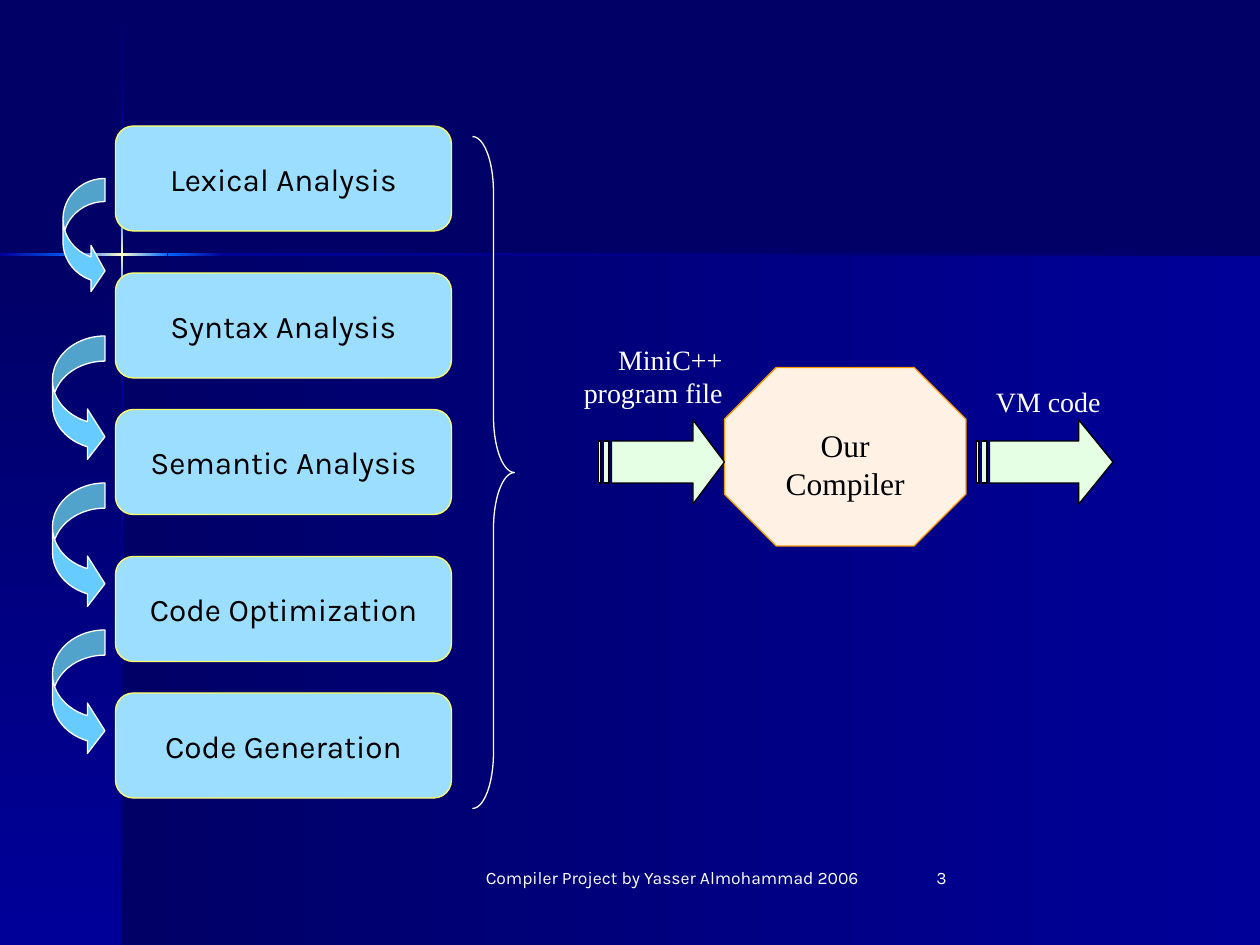
from copy import deepcopy

from pptx import Presentation
from pptx.dml.color import RGBColor
from pptx.enum.shapes import MSO_SHAPE as Shape
from pptx.enum.text import MSO_ANCHOR as Anchor, PP_ALIGN as Align
from pptx.oxml.ns import qn
from pptx.util import Inches, Pt

THEME = {
    "navy": "000066", "blue": "000099", "glow": "0066FF", "spark": "FFFFCC",
    "phase": "9BDEFF", "phase_edge": "FFFF66", "loop": "66CCFF",
    "compiler": "FFF2E5", "compiler_edge": "FF9900", "flow": "E5FFE5",
    "dark": "000000", "light": "FFFFFF",
    "sans": "Karla", "serif": "Times New Roman",
    "body": 18, "label": 16, "footer": 10, "line": 0.75,
}

# Backdrop: left, top, width, height in percent of the slide; colours; clockwise angle
BACKDROP = [
    (9.7, 26.93, 90.3, 73.07, ("blue", "navy"), 180),
    (0, 26.93, 9.7, 73.07, ("navy", "blue"), 90),
    (9.6, 0.13, 0.2, 16.13, ("navy", "blue"), 90),
    (9.6, 37.6, 0.2, 62.4, ("blue", "navy"), 90),
    (17.7, 26.8, 82.3, 0.27, ("navy", "blue"), 180),
    (9.6, 22, 0.2, 9.73, ("glow", "spark", "glow"), 90),
    (0, 26.8, 6.1, 0.27, ("glow", "blue"), 180),
    (13.3, 26.8, 4.4, 0.27, ("blue", "glow"), 180),
    (6, 26.8, 7.3, 0.27, ("glow", "spark", "glow"), 180),
]

# Everything else sits on a grid of 120 columns by 90 rows
COLUMNS, ROWS = 120, 90
PHASES = [
    ("Lexical Analysis", 12), ("Syntax Analysis", 26), ("Semantic Analysis", 39),
    ("Code Optimization", 53), ("Code Generation", 66),
]
LOOPS = [(6, 17, 4, 11)] + [(5, row, 5, 12) for row in (32, 46, 60)]
BRACE = (45, 13, 4, 64)
COMPILER = ("Our Compiler", (69, 35, 23, 17))
FLOWS = [(57, 40, 12, 8), (93, 40, 13, 8)]
TEXTS = [
    ("MiniC++ program file", (52, 32, 18, 9), "label", "serif", Align.RIGHT),
    ("VM code", (88, 36, 18, 12), "label", "serif", Align.RIGHT),
    ("Compiler Project by Yasser Almohammad 2006", (45, 82, 38, 6),
     "footer", "sans", Align.CENTER),
    ("3", (88, 82, 25, 6), "footer", "sans", Align.LEFT),
]

deck = Presentation()
deck.slide_width, deck.slide_height = Inches(10), Inches(7.5)
page = deck.slides.add_slide(deck.slide_layouts[6])


def color(name):
    return RGBColor.from_string(THEME[name])


def place(area, columns=COLUMNS, rows=ROWS):
    left, top, width, height = area
    across, down = deck.slide_width / columns, deck.slide_height / rows
    return [round(v) for v in (left * across, top * down, width * across, height * down)]


def add_figure(kind, area, fill, edge, adjustments=()):
    figure = page.shapes.add_shape(kind, *place(area))
    figure.shadow.inherit = False
    if fill:
        figure.fill.solid()
        figure.fill.fore_color.rgb = color(fill)
    else:
        figure.fill.background()
    figure.line.color.rgb = color(edge)
    figure.line.width = Pt(THEME["line"])
    for index, value in enumerate(adjustments):
        figure.adjustments[index] = value
    return figure


def write(box, text, size, font, ink, align, anchor=Anchor.TOP, wrap=True):
    frame = box.text_frame
    frame.word_wrap = wrap
    frame.vertical_anchor = anchor
    para = frame.paragraphs[0]
    para.text = text
    para.alignment = align
    para.font.size = Pt(THEME[size])
    para.font.name = THEME[font]
    para.font.color.rgb = color(ink)


def add_gradient(area, names, angle):
    panel = page.shapes.add_shape(Shape.RECTANGLE, *place(area, 100, 100))
    panel.shadow.inherit = False
    panel.line.fill.background()
    panel.fill.gradient()
    panel.fill.gradient_angle = 360 - angle
    stop_list = panel._element.spPr.find(qn("a:gradFill")).find(qn("a:gsLst"))
    while len(stop_list) < len(names):
        stop_list.append(deepcopy(stop_list[-1]))
    for index, (stop, name) in enumerate(zip(panel.fill.gradient_stops, names)):
        stop.position = index / (len(names) - 1)
        stop.color.rgb = color(name)


# Backdrop
page.background.fill.solid()
page.background.fill.fore_color.rgb = color("navy")
for *area, names, angle in BACKDROP:
    add_gradient(area, names, angle)

# Compiler phases and the arrows that lead from one to the next
for name, row in PHASES:
    phase = add_figure(Shape.ROUNDED_RECTANGLE, (11, row, 32, 10),
                       "phase", "phase_edge", [0.17])
    write(phase, name, "body", "sans", "dark", Align.CENTER, Anchor.MIDDLE, wrap=False)
for area in LOOPS:
    ratio = area[3] / area[2]
    add_figure(Shape.CURVED_RIGHT_ARROW, area, "loop", "light",
               [0.2 * ratio, 0.4 * ratio, 1 / 3])

# Compiler with its input and output
name, area = COMPILER
compiler = add_figure(Shape.OCTAGON, area, "compiler", "compiler_edge", [0.29])
write(compiler, name, "body", "serif", "dark", Align.CENTER)
compiler.text_frame.margin_top = Inches(0.26)
for area in FLOWS:
    add_figure(Shape.STRIPED_RIGHT_ARROW, area, "flow", "dark",
               [0.5, 0.25 * area[2] / area[3]])

# Labels and footer
for text, area, size, font, align in TEXTS:
    write(page.shapes.add_textbox(*place(area)), text, size, font, "light", align)

# Brace around the phases
add_figure(Shape.RIGHT_BRACE, BRACE, None, "light", [4 / 3, 0.5])

deck.save("out.pptx")
